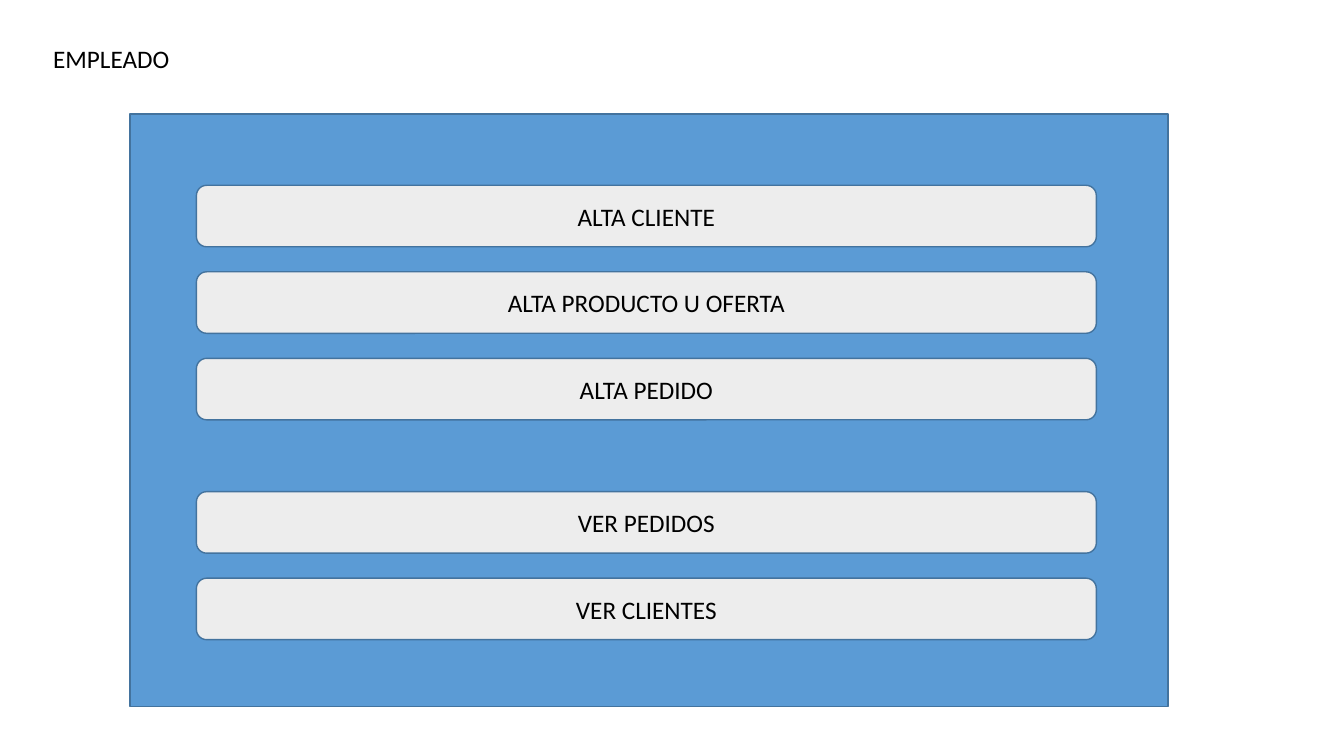
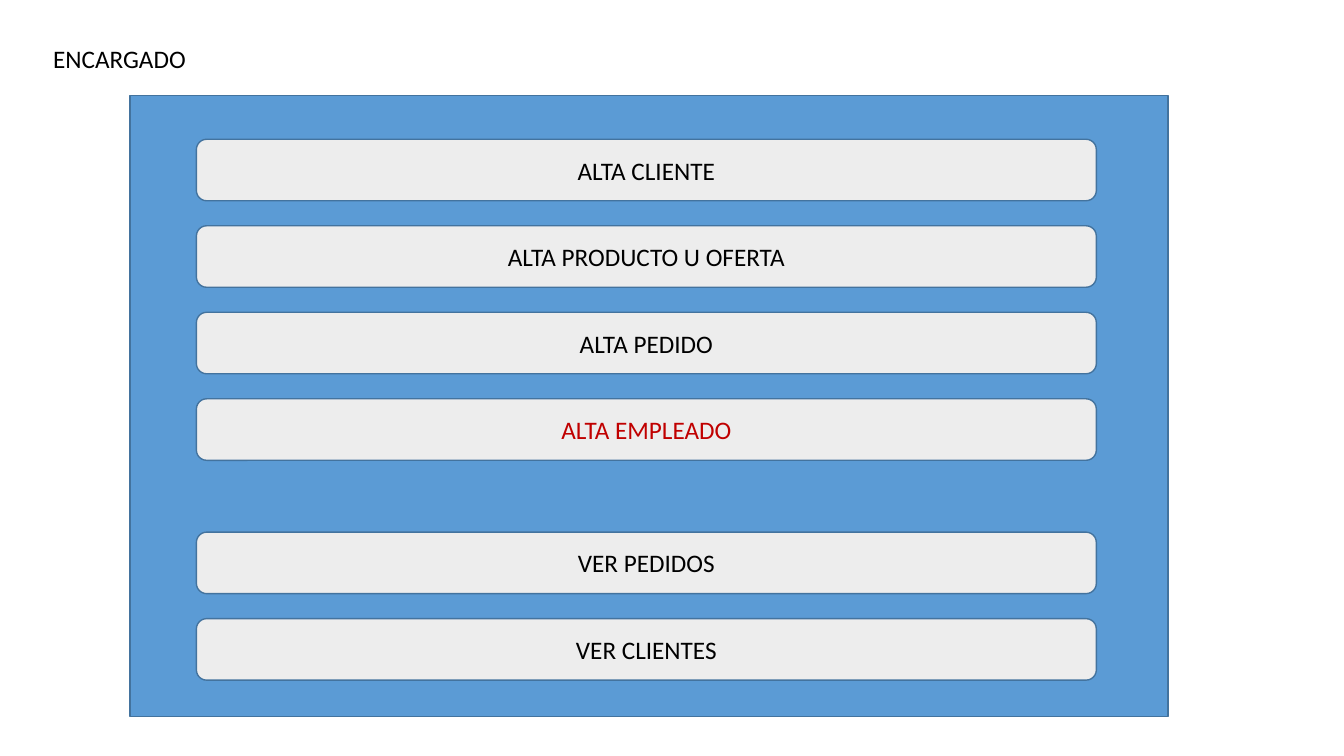
from pptx import Presentation
from pptx.dml.color import RGBColor
from pptx.enum.shapes import MSO_SHAPE
from pptx.enum.text import MSO_ANCHOR, MSO_AUTO_SIZE, PP_ALIGN
from pptx.util import Cm, Pt

RECTANGLE = MSO_SHAPE.RECTANGLE
ROUNDED = MSO_SHAPE.ROUNDED_RECTANGLE
MIDDLE = MSO_ANCHOR.MIDDLE
FIT_SHAPE = MSO_AUTO_SIZE.SHAPE_TO_FIT_TEXT
CENTER = PP_ALIGN.CENTER

# Shared style
BLACK = RGBColor(0x00, 0x00, 0x00)
RED = RGBColor(0xC0, 0x00, 0x00)
PANEL_BLUE = RGBColor(0x5B, 0x9B, 0xD5)
BUTTON_GRAY = RGBColor(0xED, 0xED, 0xED)
OUTLINE_BLUE = RGBColor(0x43, 0x73, 0x9E)

# Shared layout in centimetres
BUTTON_LEFT, BUTTON_WIDTH, BUTTON_HEIGHT = 4.95, 22.68, 1.55
BUTTON_PITCH = 2.18
GROUP_PITCH = 3.36

# Title, title width, panel top and height, first button top, button groups
MENUS = [
    ("EMPLEADO", 3.48, 2.87, 14.94, 4.67,
     [["ALTA CLIENTE", "ALTA PRODUCTO U OFERTA", "ALTA PEDIDO"],
      ["VER PEDIDOS", "VER CLIENTES"]]),
    ("ENCARGADO", 3.89, 2.41, 15.65, 3.51,
     [["ALTA CLIENTE", "ALTA PRODUCTO U OFERTA", "ALTA PEDIDO", "ALTA EMPLEADO"],
      ["VER PEDIDOS", "VER CLIENTES"]]),
]
HIGHLIGHTED = "ALTA EMPLEADO"


def add_box(slide, kind, left, top, width, height, fill):
    shape = slide.shapes.add_shape(kind, Cm(left), Cm(top), Cm(width), Cm(height))
    shape.shadow.inherit = False
    shape.fill.solid()
    shape.fill.fore_color.rgb = fill
    shape.line.color.rgb = OUTLINE_BLUE
    shape.line.width = Pt(1)
    return shape


def write_text(shape, text, color):
    paragraph = shape.text_frame.paragraphs[0]
    paragraph.text = text
    paragraph.font.name = "Calibri"
    paragraph.font.size = Pt(18)
    paragraph.font.color.rgb = color
    return paragraph


presentation = Presentation()
presentation.slide_width = Cm(33.87)
presentation.slide_height = Cm(19.05)
blank_layout = presentation.slide_layouts[6]

for title, title_width, panel_top, panel_height, button_top, groups in MENUS:
    slide = presentation.slides.add_slide(blank_layout)

    # Title
    title_box = slide.shapes.add_textbox(Cm(1.09), Cm(0.97), Cm(title_width), Cm(1.02))
    title_box.text_frame.word_wrap = False
    title_box.text_frame.auto_size = FIT_SHAPE
    write_text(title_box, title, BLACK)

    # Panel
    add_box(slide, RECTANGLE, 3.28, panel_top, 26.16, panel_height, PANEL_BLUE)

    # Buttons, with a wider step between groups
    for group in groups:
        for row, label in enumerate(group):
            button = add_box(slide, ROUNDED, BUTTON_LEFT, button_top + row * BUTTON_PITCH,
                             BUTTON_WIDTH, BUTTON_HEIGHT, BUTTON_GRAY)
            button.text_frame.vertical_anchor = MIDDLE
            color = RED if label == HIGHLIGHTED else BLACK
            write_text(button, label, color).alignment = CENTER
        button_top += (len(group) - 1) * BUTTON_PITCH + GROUP_PITCH

presentation.save("out.pptx")
